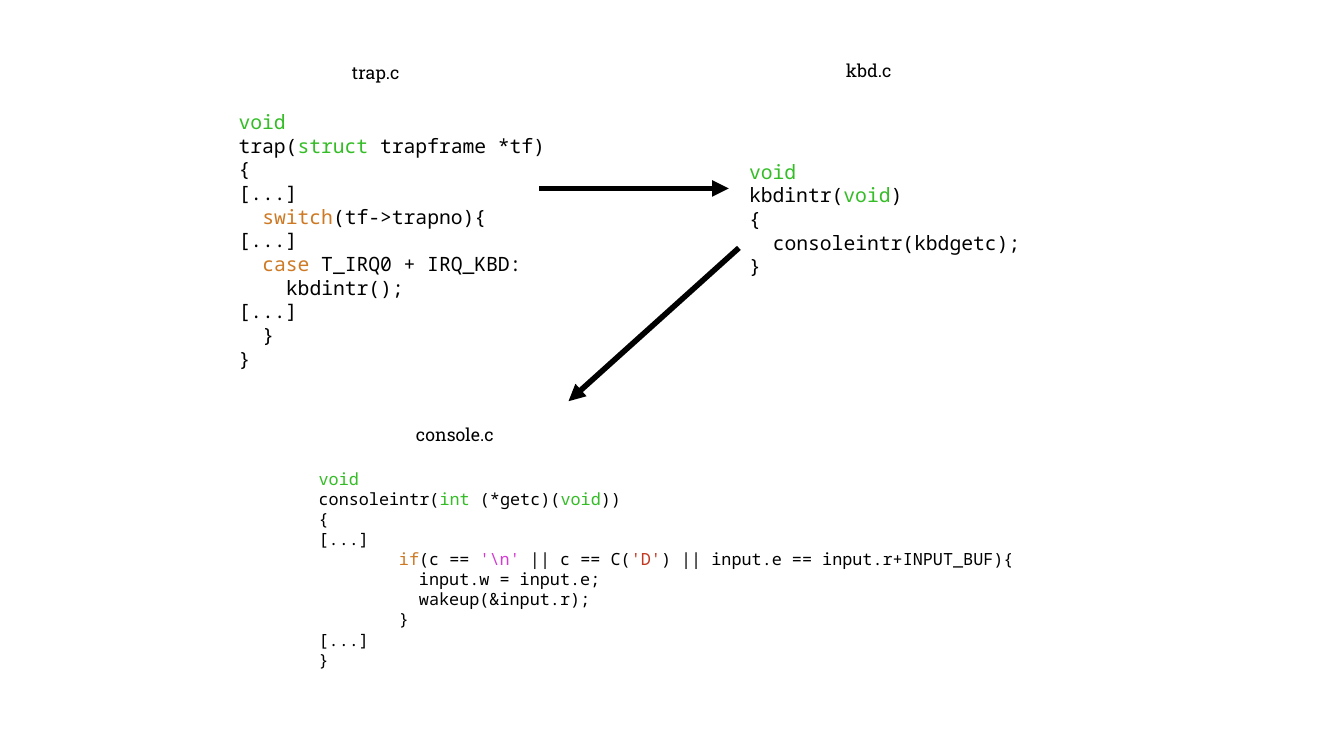
from lxml.etree import SubElement
from pptx import Presentation
from pptx.dml.color import RGBColor
from pptx.enum.shapes import MSO_CONNECTOR
from pptx.enum.text import MSO_ANCHOR, MSO_AUTO_SIZE, PP_ALIGN
from pptx.oxml.ns import qn
from pptx.util import Pt

COLORS = {
    "plain": "000000",
    "type": "34BD26",
    "keyword": "CE7924",
    "escape": "D53BD3",
    "character": "C33720",
}
CHARACTER_WIDTH = 0.6


def color(name):
    return RGBColor.from_string(COLORS[name])


def add_text(page, frame, lines, font_name, size):
    box = page.shapes.add_textbox(*[Pt(length) for length in frame])
    text = box.text_frame
    text.word_wrap = True
    text.auto_size = MSO_AUTO_SIZE.NONE
    text.vertical_anchor = MSO_ANCHOR.MIDDLE
    text.margin_left = text.margin_right = Pt(3)
    text.margin_top = text.margin_bottom = Pt(3)
    for number, (indent, *spans) in enumerate(lines):
        para = text.add_paragraph() if number else text.paragraphs[0]
        para.alignment = PP_ALIGN.LEFT
        para.font.name = font_name
        para.font.size = Pt(size)
        if indent:
            margin = Pt(indent * CHARACTER_WIDTH * size)
            para._p.get_or_add_pPr().set("marL", str(margin))
        for content, role in spans:
            span = para.add_run()
            span.text = content
            span.font.color.rgb = color(role)


deck = Presentation()
deck.slide_width, deck.slide_height = Pt(960), Pt(540)
page = deck.slides.add_slide(deck.slide_layouts[6])

void_line = (0, ("void", "type"))
open_line = (0, ("{", "plain"))
close_line = (0, ("}", "plain"))
omitted_line = (0, ("[...]", "plain"))

trap_code = [
    void_line,
    (0, ("trap(", "plain"), ("struct ", "type"), ("trapframe *tf)", "plain")),
    open_line,
    omitted_line,
    (2, ("switch", "keyword"), ("(tf->trapno){", "plain")),
    omitted_line,
    (2, ("case", "keyword"), (" T_IRQ0 + IRQ_KBD:", "plain")),
    (4, ("kbdintr();", "plain")),
    omitted_line,
    (2, ("}", "plain")),
    close_line,
]
keyboard_code = [
    void_line,
    (0, ("kbdintr(", "plain"), ("void", "type"), (")", "plain")),
    open_line,
    (2, ("consoleintr(kbdgetc);", "plain")),
    close_line,
]
console_code = [
    void_line,
    (0, ("consoleintr(", "plain"), ("int", "type"), (" (*getc)(", "plain"),
     ("void", "type"), ("))", "plain")),
    open_line,
    omitted_line,
    (8, ("if", "keyword"), ("(c == ", "plain"), ("'\\n'", "escape"),
     (" || c == C(", "plain"), ("'D'", "character"),
     (") || input.e == input.r+INPUT_BUF){", "plain")),
    (10, ("input.w = input.e;", "plain")),
    (10, ("wakeup(&input.r);", "plain")),
    (8, ("}", "plain")),
    omitted_line,
    close_line,
]

for frame, lines, size in [
    ((167.4, 74.9, 229, 193), trap_code, 14.1),
    ((532.1, 110.9, 203, 90.7), keyboard_code, 14.1),
    ((224.6, 331.2, 510.5, 150.5), console_code, 11.95),
]:
    add_text(page, frame, lines, "Noto Sans Mono", size)

for frame, file_name in [
    ((248.4, 41.2, 46, 21), "trap.c"),
    ((601.2, 40.1, 46, 21), "kbd.c"),
    ((294.1, 299.6, 68, 21), "console.c"),
]:
    add_text(page, frame, [(0, (file_name, "plain"))], "Roboto Slab", 12.7)

for ends in [(385.2, 134.6, 520.6, 134.6), (527.8, 177.1, 406.1, 286.6)]:
    arrow = page.shapes.add_connector(
        MSO_CONNECTOR.STRAIGHT, *[Pt(length) for length in ends])
    arrow.line.color.rgb = color("plain")
    arrow.line.width = Pt(4)
    SubElement(arrow.line._get_or_add_ln(), qn("a:tailEnd"), type="triangle")
    SubElement(arrow._element.spPr, qn("a:effectLst"))

deck.save("out.pptx")
